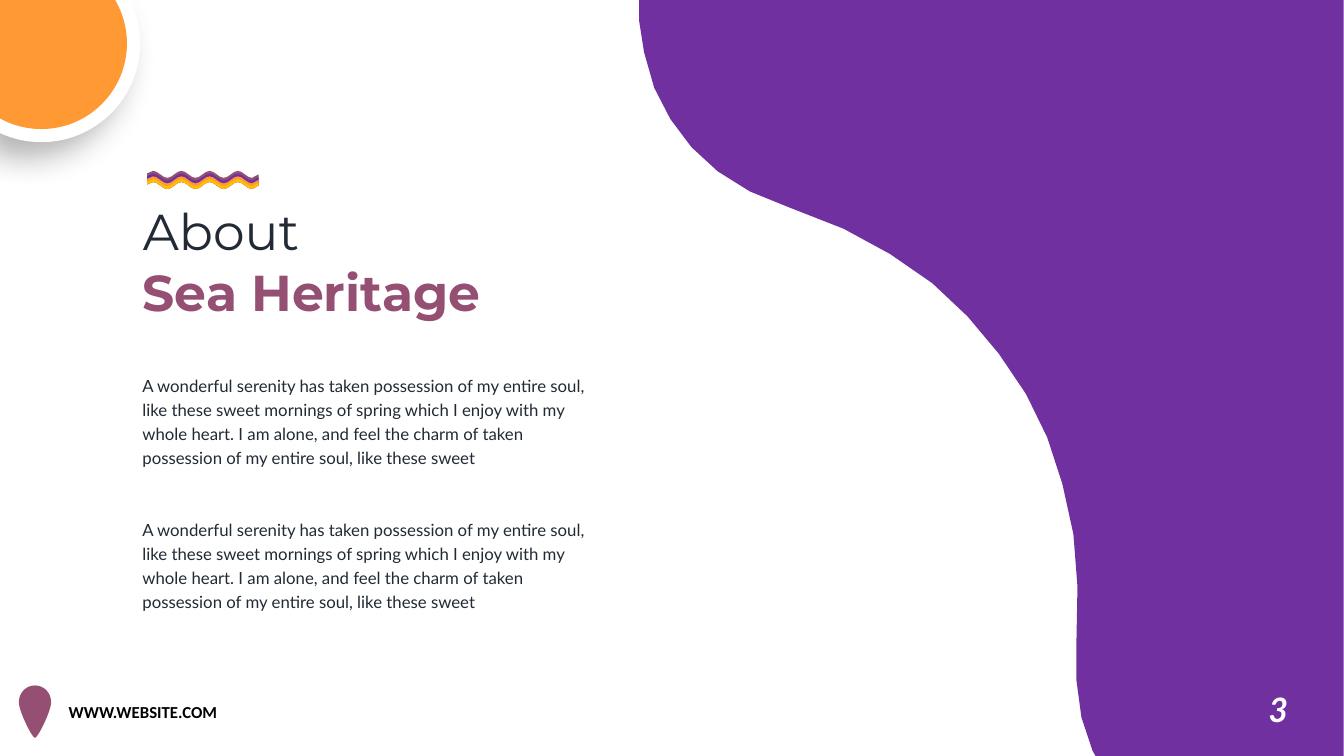
import math
import pptx
import pptx.dml.color
import pptx.enum.text
import pptx.oxml
import pptx.oxml.ns
import pptx.util

Cm = pptx.util.Cm
UNIT = 0.0254  # outlines are given in hundredths of an inch
PLUM, VIOLET, ORANGE, GOLD = "954F72", "7030A0", "FF9933", "FFC000"
INK, WHITE, BLACK = "222A35", "FFFFFF", "000000"

BODY = ("A wonderful serenity has taken possession of my entire soul, like these "
        "sweet mornings of spring which I enjoy with my whole heart. I am alone, "
        "and feel the charm of taken possession of my entire soul, like these sweet")

# An outline step is a point (x, y) or a curve (two controls and an end)
CURVE = [(1333, 0), (634, 0), (634, 20), (639, 52), (649, 87), (665, 118),
         (686, 146), (712, 170), (744, 190), (781, 205), (837, 227), (883, 252),
         (925, 281), (960, 314), (991, 351), (1018, 391), (1039, 434), (1054, 480),
         (1065, 530), (1069, 582), (1068, 637), (1068, 675), (1073, 712),
         (1084, 745), (1087, 750), (1333, 750)]

PIN = [(34.7, 680), (43.5, 680, 50.7, 687, 50.7, 697),
       (50.7, 705, 37.7, 732, 34.7, 732), (31.7, 732, 18.7, 705, 18.7, 697),
       (18.7, 687, 25.9, 680, 34.7, 680)]


def rgb(text):
    return pptx.dml.color.RGBColor.from_string(text)


def disc(radius):
    """Circle around (41, 43), cut off at the slide's left and top edges."""
    def spot(turn, pull=0):
        cos, sin = math.cos(turn), math.sin(turn)
        return 41 + radius * (cos - pull * sin), 43 + radius * (sin + pull * cos)

    turns = [math.asin(-44 / radius), 0, math.pi / 2, math.acos(-41 / radius)]
    steps = [(0, -1), spot(turns[0])]
    for a, b in zip(turns, turns[1:]):
        pull = math.tan((b - a) / 4) * 4 / 3
        steps.append(spot(a, pull) + spot(b, -pull) + spot(b))
    return steps


def wave(top, low=184):
    """Band between two parallel waves, curved from crest to trough."""
    def edge(mid, back):
        knots = [(152 + 14 * k, mid + (3.5 if k % 2 else -3.5)) for k in range(8)]
        ends = [(146, mid - 1), (256.5, mid)]
        if back:
            knots, ends = knots[::-1], ends[::-1]
        steps = [ends[0], knots[0]]
        for (x, y), (u, v) in zip(knots, knots[1:]):
            bend = 0.36 * (u - x)
            steps.append((x + bend, y, u - bend, v, u, v))
        return steps + [ends[1]]
    return edge(top, False) + edge(low, True)


class Page:
    def __init__(self, deck):
        self.slide = deck.slides.add_slide(deck.slide_layouts[6])
        self.shapes = self.slide.shapes
        self.styles = {
            "head": dict(name="Montserrat", size=36, color=INK),
            "name": dict(name="Montserrat", size=36, color=PLUM, bold=True),
            "body": dict(name="Lato", size=12, color=INK),
            "site": dict(name="Calibri", size=12, color=BLACK, bold=True),
            "page": dict(name="Lato", size=24, color=WHITE, bold=True, italic=True),
        }

    def group(self):
        return self.shapes.add_group_shape().shapes

    def free(self, steps, fill, home=None):
        home = self.shapes if home is None else home
        spots = [(Cm(step[i] * UNIT), Cm(step[i + 1] * UNIT))
                 for step in steps for i in range(0, len(step), 2)]
        pen = home.build_freeform(*spots[0])
        pen.add_line_segments(spots[1:], close=True)
        shape = pen.convert_to_shape()
        self.bend(shape, steps)
        shape.shadow.inherit = False
        shape.fill.solid()
        shape.fill.fore_color.rgb = rgb(fill)
        shape.line.fill.background()
        return shape

    def bend(self, shape, steps):
        """Join each curve step's three line segments into one Bezier."""
        lines = iter(shape._element.xpath(".//a:path/a:lnTo"))
        for step in steps[1:]:
            line = next(lines)
            if len(step) == 6:
                line.tag = pptx.oxml.ns.qn("a:cubicBezTo")
                for _ in range(2):
                    extra = next(lines)
                    line.append(extra[0])
                    extra.getparent().remove(extra)

    def shade(self, shape):
        """Soft black shadow to the lower left."""
        space = pptx.oxml.ns.nsdecls("a")
        glow = pptx.oxml.parse_xml(
            f'<a:outerShdw {space} blurRad="{pptx.util.Pt(23)}" '
            f'dist="{pptx.util.Pt(15)}" dir="8100000" algn="tr" rotWithShape="0">'
            f'<a:srgbClr val="{BLACK}"><a:alpha val="29000"/></a:srgbClr>'
            '</a:outerShdw>')
        shape._element.spPr.find(pptx.oxml.ns.qn("a:effectLst")).append(glow)

    def text(self, box, lines, wrap=True, space=None):
        """Write (words, style) pairs, one paragraph each."""
        frame = self.shapes.add_textbox(*map(Cm, box)).text_frame
        frame.word_wrap = wrap
        frame.auto_size = pptx.enum.text.MSO_AUTO_SIZE.SHAPE_TO_FIT_TEXT
        for i, (words, style) in enumerate(lines):
            para = frame.add_paragraph() if i else frame.paragraphs[0]
            if space:
                para.line_spacing = space
            run = para.add_run()
            run.text = words
            for key, value in self.styles[style].items():
                if key == "color":
                    run.font.color.rgb = rgb(value)
                else:
                    size = key == "size"
                    setattr(run.font, key, pptx.util.Pt(value) if size else value)


def main():
    deck = pptx.Presentation()
    deck.slide_width, deck.slide_height = Cm(33.87), Cm(19.05)
    page = Page(deck)

    page.free(CURVE, VIOLET)
    page.text((31.72, 17.24, 1.02, 1.27), [("3", "page")], wrap=False)

    page.free(PIN, PLUM)
    page.text((1.48, 17.55, 6.43, 0.76), [("WWW.WEBSITE.COM", "site")])

    badge = page.group()
    page.shade(page.free(disc(98), WHITE, badge))
    page.free(disc(85), ORANGE, badge)

    page.text((3.35, 4.93, 9.58, 3.33), [("About", "head"), ("Sea Heritage", "name")])
    waves = page.group()
    for i, fill in enumerate((PLUM, VIOLET, ORANGE, GOLD)):
        page.free(wave(173 + 2.75 * i), fill, waves)

    for top in (9.23, 12.86):
        page.text((3.34, top, 11.76, 2.67), [(BODY, "body")], space=1.2)

    deck.save("out.pptx")


if __name__ == "__main__":
    main()
